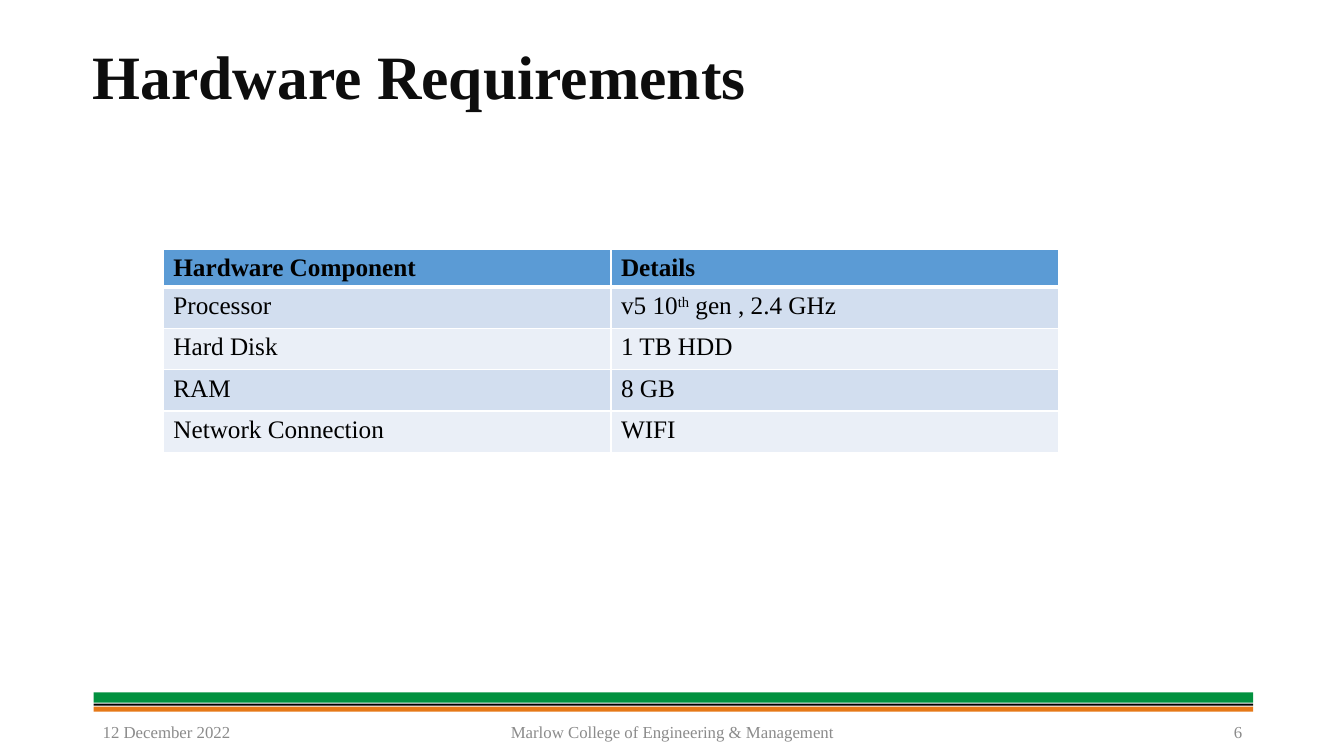
"""Build the hardware requirements slide with its table and footer."""
from dataclasses import dataclass

import pptx
import pptx.dml.color
import pptx.enum.shapes
import pptx.enum.text
import pptx.oxml
import pptx.oxml.ns
import pptx.util

RGB = pptx.dml.color.RGBColor
ALIGN = pptx.enum.text.PP_ALIGN
MIDDLE = pptx.enum.text.MSO_ANCHOR.MIDDLE
FONT = "Times New Roman"
SCALE = 9144

BLACK = RGB(0x00, 0x00, 0x00)
WHITE = RGB(0xFF, 0xFF, 0xFF)
INK = RGB(0x0D, 0x0D, 0x0D)
GRAY = RGB(0x8B, 0x8B, 0x8B)
GREEN = RGB(0x02, 0x91, 0x3F)
ORANGE = RGB(0xE6, 0x78, 0x17)
BLUE = RGB(0x5B, 0x9B, 0xD5)
BANDS = RGB(0xEA, 0xEF, 0xF7), RGB(0xD2, 0xDE, 0xEF)


@dataclass(frozen=True)
class Bar:
    top: int
    height: int
    color: RGB


@dataclass(frozen=True)
class Note:
    left: int
    width: int
    text: str
    align: ALIGN


BARS = [Bar(687, 10, GREEN), Bar(701, 5, ORANGE), Bar(698, 2, BLACK)]
NOTES = [
    Note(92, 300, "12 December 2022", ALIGN.LEFT),
    Note(442, 450, "Marlow College of Engineering & Management", ALIGN.CENTER),
    Note(942, 300, "6", ALIGN.RIGHT),
]
ROWS = [
    ("Hardware Component", "Details"),
    ("Processor", "v5 10^th^ gen , 2.4 GHz"),
    ("Hard Disk", "1 TB HDD"),
    ("RAM", "8 GB"),
    ("Network Connection", "WIFI"),
]


def px(*sizes: int) -> list[pptx.util.Emu]:
    return [pptx.util.Emu(size * SCALE) for size in sizes]


def write(frame, text: str, *, size: int, color: RGB, bold: bool = False,
          align: ALIGN = ALIGN.LEFT, spacing: float = 1.0) -> None:
    para = frame.paragraphs[0]
    para.alignment = align
    para.line_spacing = spacing
    for index, part in enumerate(text.split("^")):
        run = para.add_run()
        run.text = part
        run.font.name = FONT
        run.font.size = pptx.util.Pt(size)
        run.font.bold = bold
        run.font.color.rgb = color
        if index % 2:
            run.font._element.set("baseline", "30000")


def add_title(slide) -> None:
    title = slide.shapes.title
    title.left, title.top, title.width, title.height = px(92, 27, 1150, 104)
    title.line.color.rgb = WHITE
    title.line.width = pptx.util.Pt(1.5)
    frame = title.text_frame
    frame.margin_left = frame.margin_right = 0
    frame.margin_top = frame.margin_bottom = 0
    frame.vertical_anchor = MIDDLE
    frame.auto_size = pptx.enum.text.MSO_AUTO_SIZE.NONE
    write(frame, "Hardware Requirements", size=44, color=INK, bold=True, spacing=0.9)


def add_bar(slide, bar: Bar) -> None:
    kind = pptx.enum.shapes.MSO_SHAPE.RECTANGLE
    shape = slide.shapes.add_shape(kind, *px(93, bar.top, 1150, bar.height))
    shape.shadow.inherit = False
    shape.fill.solid()
    shape.fill.fore_color.rgb = bar.color
    shape.line.fill.background()


def add_note(slide, note: Note) -> None:
    frame = slide.shapes.add_textbox(*px(note.left, 706, note.width, 40)).text_frame
    frame.word_wrap = True
    frame.vertical_anchor = MIDDLE
    write(frame, note.text, size=12, color=GRAY, align=note.align)


def add_edges(cell, row: int) -> None:
    widths = {"L": 1, "R": 1, "T": 3 if row == 1 else 1, "B": 3 if row == 0 else 1}
    props = cell._tc.get_or_add_tcPr()
    for index, (side, width) in enumerate(widths.items()):
        edge = pptx.oxml.parse_xml(
            f'<a:ln{side} {pptx.oxml.ns.nsdecls("a")} w="{pptx.util.Pt(width)}">'
            f'<a:solidFill><a:srgbClr val="{WHITE}"/></a:solidFill></a:ln{side}>')
        props.insert(index, edge)


def add_grid(slide) -> None:
    table = slide.shapes.add_table(len(ROWS), 2, *px(162, 247, 888, 201)).table
    for row, texts in enumerate(ROWS):
        table.rows[row].height = px(41 if row else 37)[0]
        for col, text in enumerate(texts):
            cell = table.cell(row, col)
            cell.fill.solid()
            cell.fill.fore_color.rgb = BANDS[row % 2] if row else BLUE
            add_edges(cell, row)
            write(cell.text_frame, text, size=18, color=BLACK, bold=row == 0)


def main() -> None:
    deck = pptx.Presentation()
    deck.slide_width, deck.slide_height = px(1333, 750)
    slide = deck.slides.add_slide(deck.slide_layouts.get_by_name("Title Only"))
    for bar in BARS:
        add_bar(slide, bar)
    add_grid(slide)
    add_title(slide)
    for note in NOTES:
        add_note(slide, note)
    deck.save("out.pptx")


if __name__ == "__main__":
    main()
